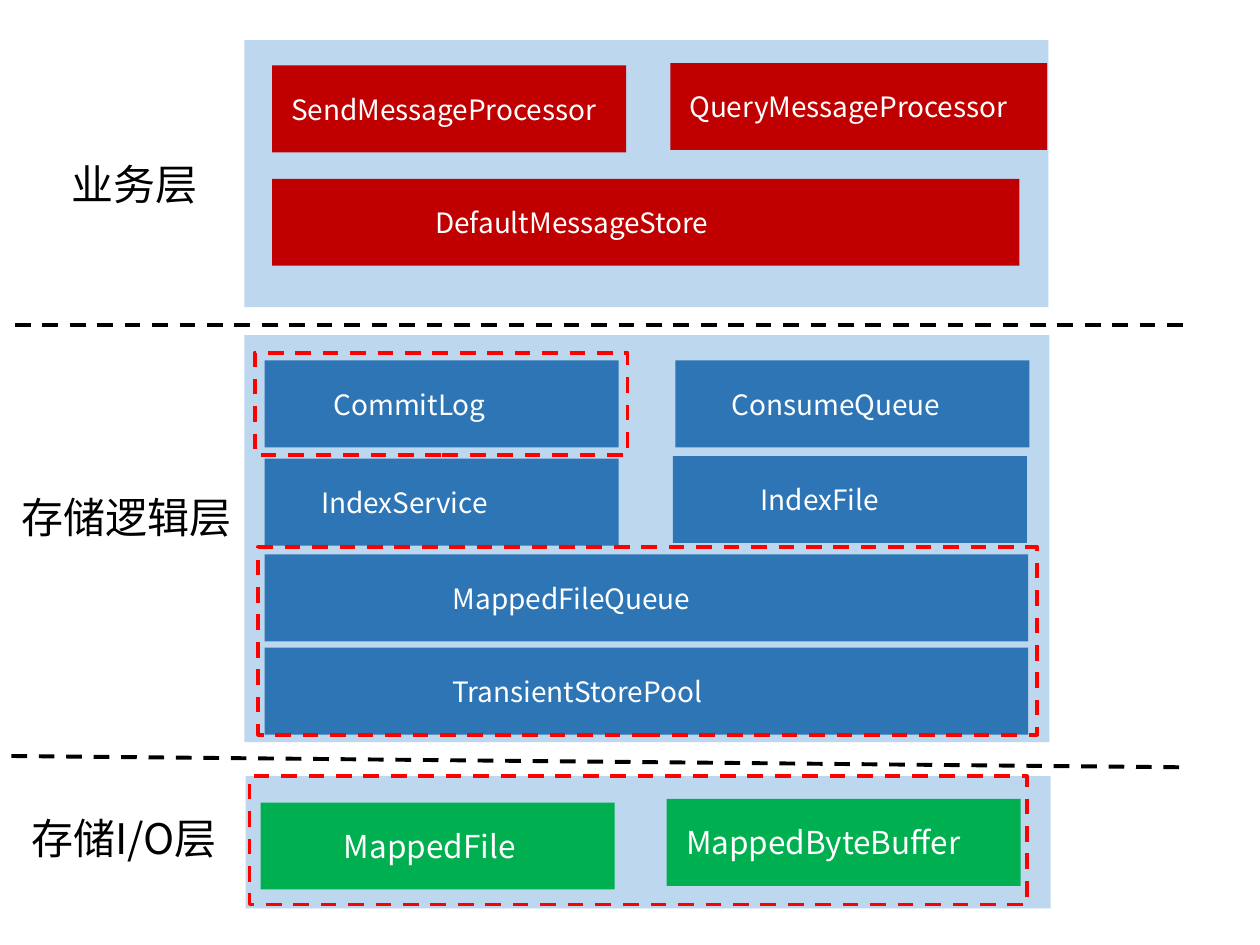
from lxml import etree
from pptx import Presentation
from pptx.dml.color import RGBColor
from pptx.enum.dml import MSO_LINE
from pptx.enum.shapes import MSO_CONNECTOR, MSO_SHAPE
from pptx.enum.text import MSO_ANCHOR, PP_ALIGN
from pptx.oxml.ns import qn
from pptx.util import Pt

RECT = MSO_SHAPE.RECTANGLE
LINE = MSO_CONNECTOR.STRAIGHT
DASH = MSO_LINE.DASH
LEFT, JUST = PP_ALIGN.LEFT, PP_ALIGN.JUSTIFY
TOP, MID = MSO_ANCHOR.TOP, MSO_ANCHOR.MIDDLE
FONT = "Noto Sans CJK SC"
PALE, RED, BLUE, GREEN = "BDD7EE", "C00000", "2E75B6", "00B050"
BLACK, WHITE, ALERT = "000000", "FFFFFF", "FF0000"
HALF, WIDE, TALL = 202.3, 436.3, 49.7


def paint(part, color):
    """Give a fill or font a solid hex color."""
    target = part
    if hasattr(part, "solid"):
        part.solid()
        target = part.fore_color
    else:
        target = part.color
    target.rgb = RGBColor.from_string(color)


def stroke(line, color):
    """Make a line dashed in a hex color."""
    paint(line.fill, color)
    line.width = Pt(2.25)
    line.dash_style = DASH


def write(shape, text, size=16, color=WHITE, align=JUST, anchor=MID,
          wrap=True, pad=(7.2, 3.6)):
    """Put formatted text into a shape; pad is the side and top inset."""
    frame = shape.text_frame
    frame.word_wrap = wrap
    frame.vertical_anchor = anchor
    frame.margin_left = Pt(pad[0])
    frame.margin_right = Pt(min(pad[0], 7.2))
    frame.margin_top = frame.margin_bottom = Pt(pad[1])
    para = frame.paragraphs[0]
    para.alignment = align
    run = para.add_run()
    run.text = text
    run.font.size = Pt(size)
    run.font.name = FONT
    paint(run.font, color)
    east = etree.SubElement(run.font._element, qn("a:ea"))
    east.set("typeface", FONT)


def rect(slide, x, y, w, h, fill=None, edge=None):
    """Add a plain rectangle with an optional fill and dashed edge."""
    shape = slide.shapes.add_shape(RECT, Pt(x), Pt(y), Pt(w), Pt(h))
    shape.shadow.inherit = False
    if fill:
        paint(shape.fill, fill)
    else:
        shape.fill.background()
    if edge:
        stroke(shape.line, edge)
    else:
        shape.line.fill.background()
    return shape


def rule(slide, x1, y1, x2, y2):
    """Add a dashed border between two layers."""
    line = slide.shapes.add_connector(LINE, Pt(x1), Pt(y1), Pt(x2), Pt(y2))
    stroke(line.line, BLACK)
    etree.SubElement(line._element.spPr, qn("a:effectLst"))


def layer(slide, box, label, blocks, fill, size=16, frames=()):
    """Draw one layer: panel, side label, blocks and frames inside box."""
    left, top, w, h = box
    rect(slide, left, top, w, h, PALE)
    name, dx, dy, wide, wrap = label
    side = slide.shapes.add_textbox(Pt(left + dx), Pt(top + dy), Pt(wide), Pt(36))
    write(side, name, size=24, color=BLACK, align=LEFT, anchor=TOP,
          wrap=wrap, pad=(3.6, 3.6))
    for text, dx, dy, wide, inset in blocks:
        block = rect(slide, left + dx, top + dy, wide, TALL, fill)
        write(block, text, size=size, pad=(inset, 3.6))
    for dx, dy, wide, high in frames:
        rect(slide, left + dx, top + dy, wide, high, edge=ALERT)


def main():
    """Build the storage layer slide."""
    deck = Presentation()
    deck.slide_width, deck.slide_height = Pt(720), Pt(540)
    slide = deck.slides.add_slide(deck.slide_layouts[6])

    layer(slide, (139.7, 23, 459.4, 152.6),
          ("业务层", -102.3, 64.1, 79.9, False),
          [("SendMessageProcessor", 15.8, 14.4, HALF, 10.8),
           ("QueryMessageProcessor", 243.4, 13, 215.3, 10.8),
           ("DefaultMessageStore", 15.8, 79.2, 427, 93.2)], RED)
    rule(slide, 8.6, 185.8, 680.4, 185.8)

    layer(slide, (139.7, 191.5, 460, 232.6),
          ("存储逻辑层", -131.1, 85.7, 128.2, False),
          [("CommitLog", 11.5, 14.4, HALF, 39.4),
           ("ConsumeQueue", 246.2, 14.4, HALF, 32.3),
           ("IndexService", 11.5, 70.6, HALF, 32.3),
           ("IndexFile", 244.8, 69.1, HALF, 50.2),
           ("MappedFileQueue", 11.5, 125.3, WIDE, 107.5),
           ("TransientStorePool", 11.5, 178.6, WIDE, 107.5)], BLUE,
          frames=[(5.8, 10.1, 213.1, 58.3), (7.9, 121, 445, 107.3)])
    rule(slide, 6.5, 432, 680.4, 438.5)

    layer(slide, (140.4, 443.5, 460, 75.6),
          ("存储I/O层", -126, 17.3, 117.4, True),
          [("MappedFile", 8.6, 15.1, HALF, 47.5),
           ("MappedByteBuffer", 240.5, 13, HALF, 11.2)], GREEN, size=18,
          frames=[(2.2, 0, 444.2, 73.4)])

    deck.save("out.pptx")


main()
